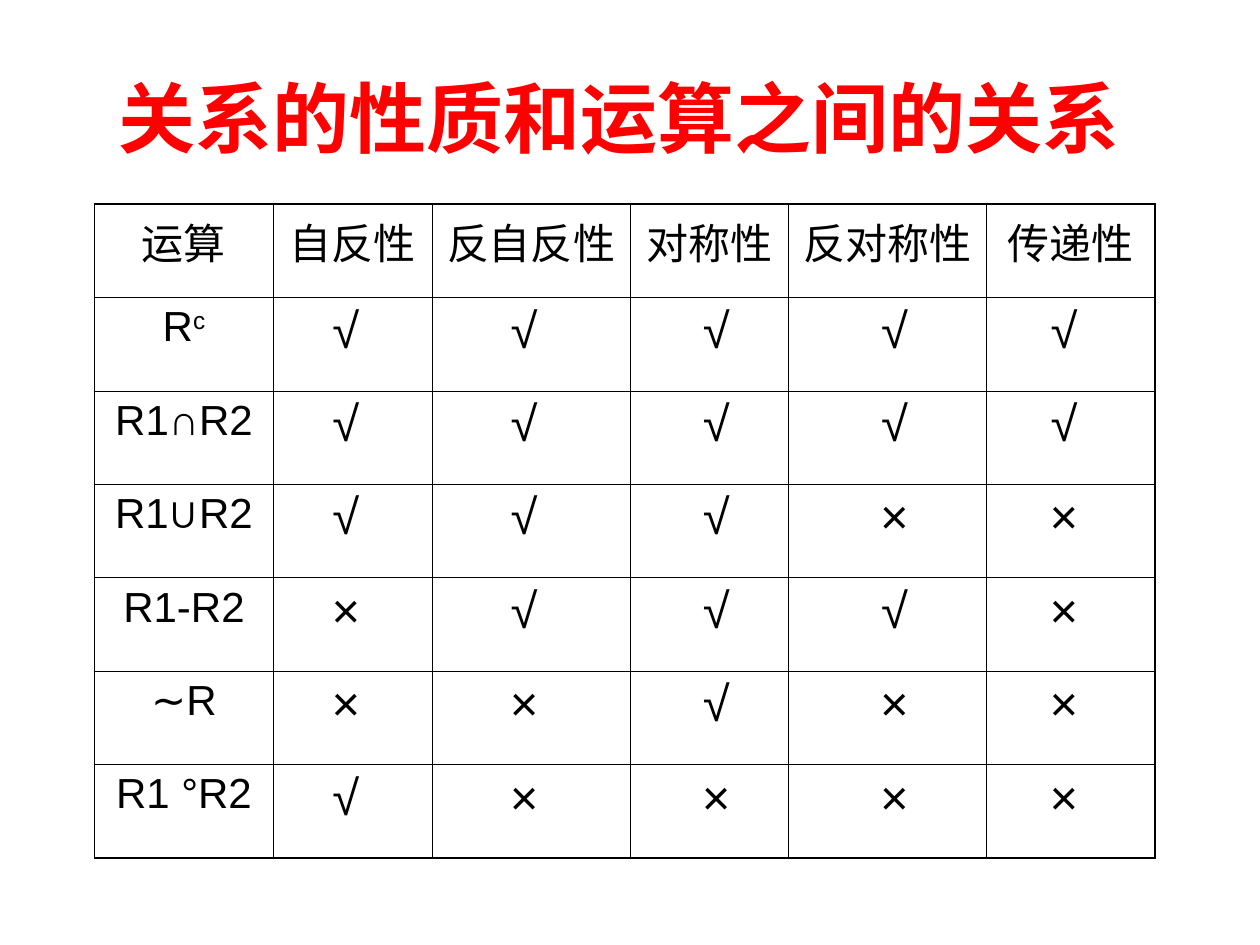
from lxml import etree
from pptx import Presentation
from pptx.dml.color import RGBColor
from pptx.enum.text import MSO_ANCHOR, MSO_AUTO_SIZE, PP_ALIGN
from pptx.oxml.ns import qn
from pptx.util import Inches, Pt

CENTER = PP_ALIGN.CENTER
MIDDLE = MSO_ANCHOR.MIDDLE
NO_FIT = MSO_AUTO_SIZE.NONE

HEADS = ["运算", "自反性", "反自反性", "对称性", "反对称性", "传递性"]
ROWS = [
    ("R^c", "√√√√√"),
    ("R1∩R2", "√√√√√"),
    ("R1∪R2", "√√√××"),
    ("R1-R2", "×√√√×"),
    ("∼R", "××√××"),
    ("R1 °R2", "√××××"),
]
WIDTHS = [1.42, 1.26, 1.57, 1.26, 1.57, 1.34]
RIGHT_COLS = (3, 4)


def color(text):
    return RGBColor.from_string(text)


class Deck:
    face = "Arial"
    ink = "000000"
    red = "FF0000"
    thin = 0.45
    thick = 1.08
    pad = 0.1
    wide = 0.21

    def __init__(self):
        self.file = Presentation()
        self.file.slide_width = Inches(10)
        self.file.slide_height = Inches(7.5)
        self.slide = self.file.slides.add_slide(self.file.slide_layouts[5])

    def style(self, para, size, ink, bold=False):
        para.alignment = CENTER
        font = para.font
        font.name = self.face
        font.size = Pt(size)
        font.bold = bold
        font.color.rgb = color(ink)

    def title(self, text, left, top, width, height):
        shape = self.slide.shapes.title
        shape.left, shape.top = Inches(left), Inches(top)
        shape.width, shape.height = Inches(width), Inches(height)
        frame = shape.text_frame
        frame.text = text
        frame.auto_size = NO_FIT
        frame.vertical_anchor = MIDDLE
        frame.margin_right = Inches(0.27)
        self.style(frame.paragraphs[0], 44, self.red, True)

    def border(self, cell, side, width):
        props = cell._tc.get_or_add_tcPr()
        line = etree.SubElement(props, qn(f"a:ln{side}"), w=str(Pt(width)))
        fill = etree.SubElement(line, qn("a:solidFill"))
        etree.SubElement(fill, qn("a:srgbClr"), val=self.ink)

    def cell(self, cell, text, size, edges, left, right):
        cell.margin_left, cell.margin_right = Inches(left), Inches(right)
        para = cell.text_frame.paragraphs[0]
        base, _, power = text.partition("^")
        para.add_run().text = base
        if power:
            run = para.add_run()
            run.text = power
            run.font._element.set("baseline", "30000")
        self.style(para, size, self.ink)
        for side, outer in edges.items():
            self.border(cell, side, self.thick if outer else self.thin)
        cell.fill.background()

    def table(self, heads, rows, widths, left, top, height):
        grid = [heads] + [[name, *marks] for name, marks in rows]
        last_row, last_col = len(grid) - 1, len(heads) - 1
        table = self.slide.shapes.add_table(
            len(grid), len(heads), Inches(left), Inches(top),
            Inches(sum(widths)), Inches(height)).table
        table.first_row = table.horz_banding = False
        for col, width in zip(table.columns, widths):
            col.width = Inches(width)
        for r, line in enumerate(grid):
            for c, text in enumerate(line):
                edges = {"L": c == 0, "R": c == last_col,
                         "T": r == 0, "B": r == last_row}
                mark = r > 0 and c > 0
                pads = [self.pad, self.pad]
                if mark:
                    pads[0 if c in RIGHT_COLS else 1] = self.wide
                self.cell(table.cell(r, c), text, 28 if mark else 24, edges, *pads)

    def save(self):
        self.file.save("out.pptx")


def main():
    deck = Deck()
    deck.title("关系的性质和运算之间的关系", 0.5, 0.3, 9, 1.25)
    deck.table(HEADS, ROWS, WIDTHS, 0.75, 1.62, 5.19)
    deck.save()


if __name__ == "__main__":
    main()
